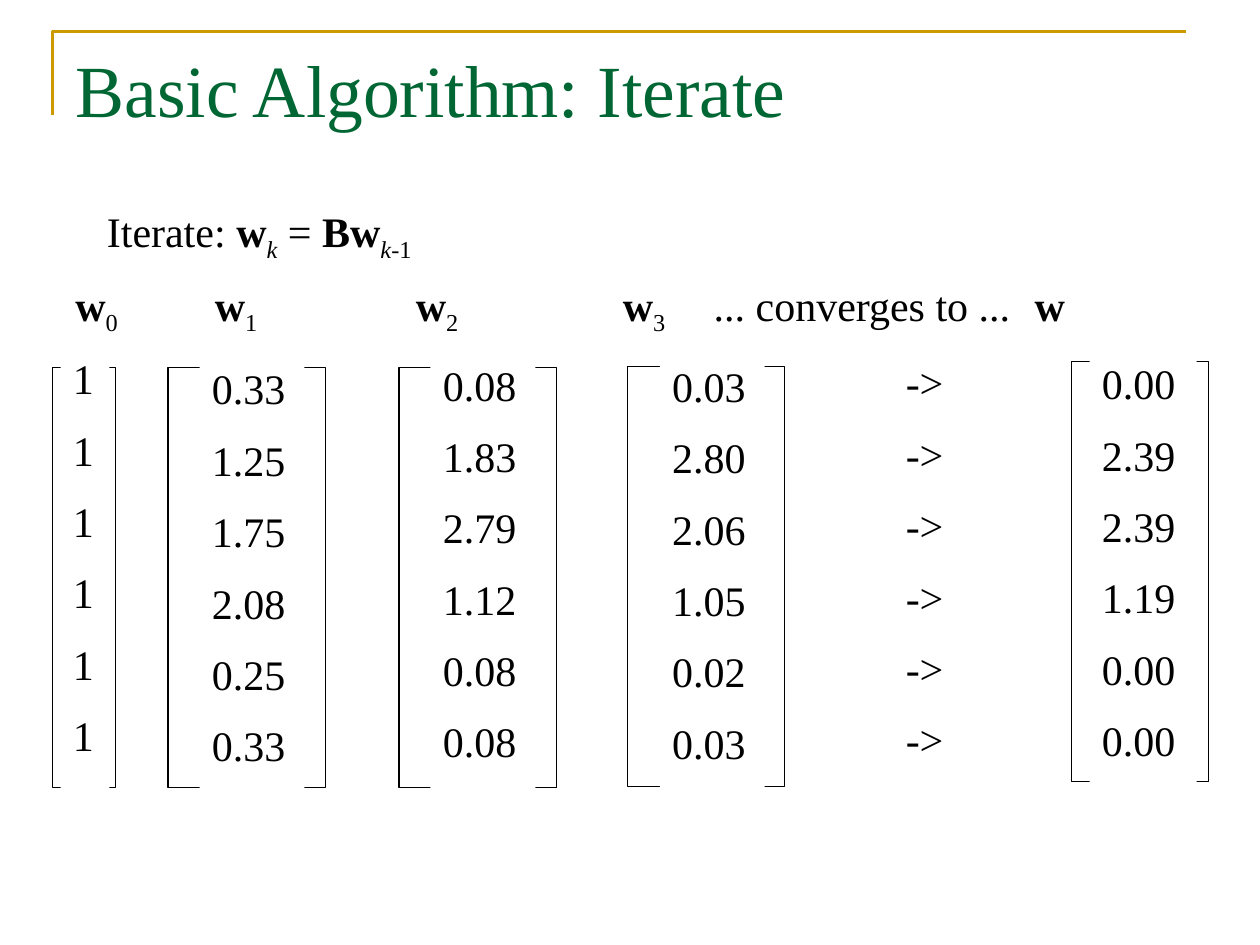
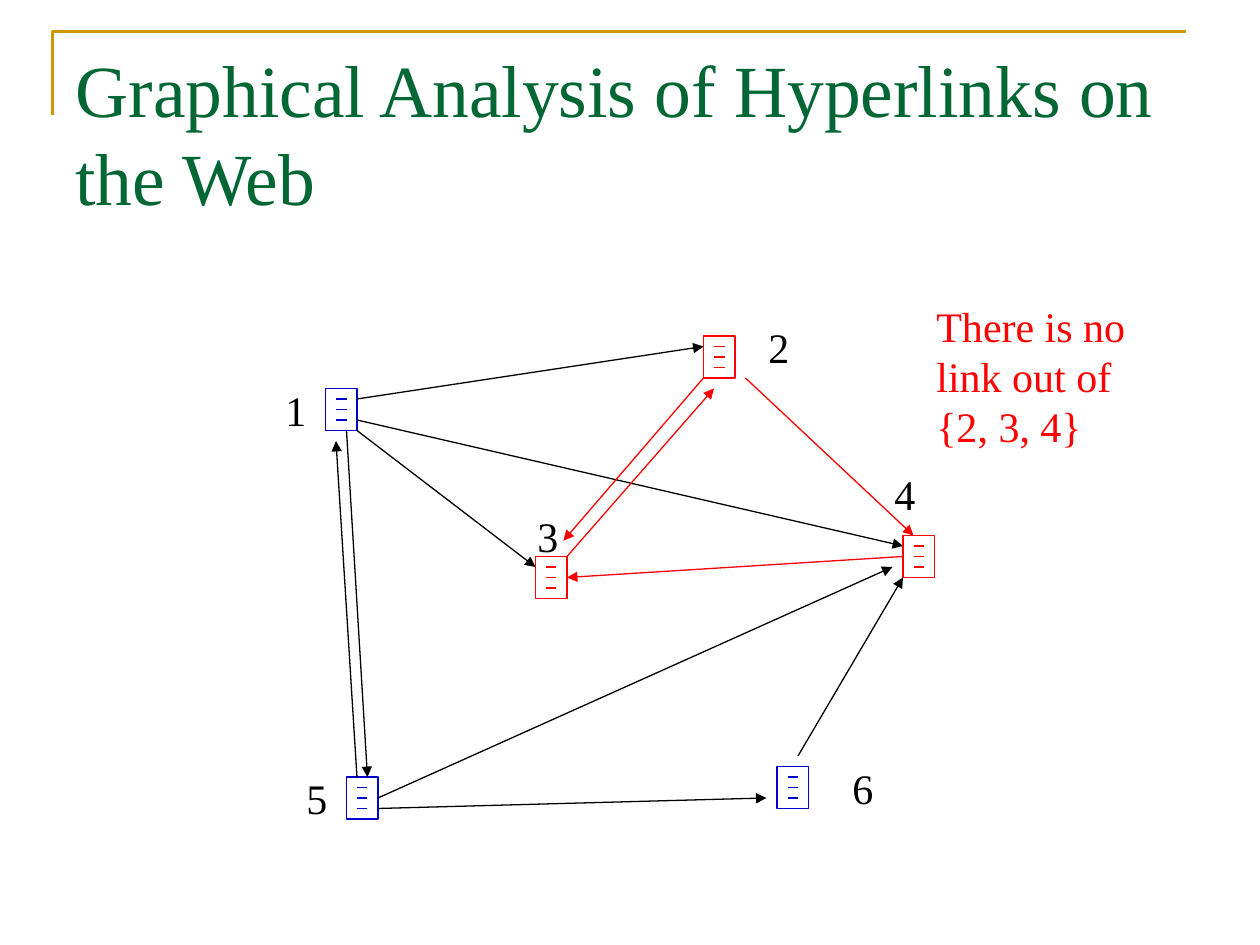
"""Build two slides on link analysis: power iteration and a web graph."""
from dataclasses import dataclass
from typing import NamedTuple, Optional

from pptx import Presentation
from pptx import util as u
from pptx.dml.color import RGBColor
from pptx.enum import shapes, text
from pptx.oxml import ns
from pptx.oxml.xmlchemy import OxmlElement

FONT = "Times New Roman"
BLACK, WHITE, RED, BLUE = "000000", "FFFFFF", "FF0000", "0000CC"
GREEN, GOLD = "006633", "CC9900"
BODY_SIZE, TITLE_SIZE = 24, 42
THIN = 0.75
NODE_WIDTH, NODE_HEIGHT, STEP = 18, 24, 6


class Frame(NamedTuple):
    left: float
    top: float
    width: float
    height: float


class Span(NamedTuple):
    words: str
    bold: bool = False
    italic: bool = False
    subscript: bool = False


@dataclass
class Vector:
    column: Frame
    values: list[str]
    bracket: Optional[Frame] = None


@dataclass
class PageNode:
    label: str
    left: float
    top: float
    color: str
    label_frame: Frame


@dataclass
class Link:
    start: tuple[float, float]
    end: tuple[float, float]
    color: str = BLACK


VECTORS = [
    Vector(Frame(114, 203.8, 60, 251.3), "0.33 1.25 1.75 2.08 0.25 0.33".split(), Frame(96, 210, 90, 240)),
    Vector(Frame(246, 201.6, 60, 251.3), "0.08 1.83 2.79 1.12 0.08 0.08".split(), Frame(228, 210, 90, 240)),
    Vector(Frame(377, 202.3, 60, 251.3), "0.03 2.80 2.06 1.05 0.02 0.03".split(), Frame(358.5, 209.5, 90, 240)),
    Vector(Frame(510.5, 200.4, 60, 251.3), ["->"] * 6),
    Vector(Frame(622.6, 200.9, 61.2, 251.3), "0.00 2.39 2.39 1.19 0.00 0.00".split(), Frame(612.5, 206.6, 78, 240)),
    Vector(Frame(34.6, 198, 28, 254), ["1"] * 6, Frame(30, 210, 36, 240)),
]
HEADING_TABS = [79.7, 194.5, 312.8, 364.8, 548.2]

NODES = [
    PageNode("1", 186, 222, BLUE, Frame(156, 216, 42, 36)),
    PageNode("2", 402, 192, RED, Frame(432, 180, 24, 36)),
    PageNode("3", 306, 318, RED, Frame(300, 288, 48, 36)),
    PageNode("4", 516, 306, RED, Frame(504, 264, 36, 36)),
    PageNode("5", 198, 444, BLUE, Frame(168, 438, 24, 36)),
    PageNode("6", 444, 438, BLUE, Frame(480, 432, 30, 36)),
]
LINKS = [
    Link((204, 228), (402, 198)),
    Link((198, 246), (210, 444)),
    Link((204, 240), (516, 312)),
    Link((204, 246), (306, 324)),
    Link((204, 444), (192, 252)),
    Link((216, 462), (438, 456)),
    Link((456, 432), (516, 330)),
    Link((516, 318), (324, 330), RED),
    Link((216, 456), (510, 324)),
    Link((324, 318), (408, 222), RED),
    Link((426, 216), (522, 306), RED),
    Link((402, 216), (322, 309), RED),
]


def rgb(color: str) -> RGBColor:
    """Turn a hex string into a colour."""
    return RGBColor.from_string(color)


def points(values) -> list[u.Length]:
    """Turn numbers into lengths in points."""
    return [u.Pt(value) for value in values]


def add_span(para, span: Span, size: float, color: str) -> None:
    """Add one formatted run to a paragraph."""
    run = para.add_run()
    run.text = span.words
    run.font.name, run.font.size = FONT, u.Pt(size)
    run.font.bold, run.font.italic = span.bold, span.italic
    run.font.color.rgb = rgb(color)
    if span.subscript:
        run._r.get_or_add_rPr().set("baseline", "-25000")


def add_text(page, frame: Frame, paras: list[list[Span]], color: str = BLACK, fill: Optional[str] = None):
    """Add a wrapped text box, half a line between paragraphs."""
    box = page.shapes.add_textbox(*points(frame))
    box.text_frame.word_wrap = True
    if fill:
        box.fill.solid()
        box.fill.fore_color.rgb = rgb(fill)
    for index, spans in enumerate(paras):
        para = box.text_frame.add_paragraph() if index else box.text_frame.paragraphs[0]
        para.space_before = u.Pt(BODY_SIZE / 2 if index else 0)
        for span in spans:
            add_span(para, span, BODY_SIZE, color)
    return box


def set_tabs(para, stops: list[float]) -> None:
    """Give a paragraph left tab stops."""
    tabs = OxmlElement("a:tabLst")
    for stop in stops:
        tab = OxmlElement("a:tab")
        tab.set("pos", str(u.Pt(stop)))
        tab.set("algn", "l")
        tabs.append(tab)
    para._p.get_or_add_pPr().append(tabs)


def add_rect(target, frame: Frame, color: str, fill: Optional[str] = None) -> None:
    """Add a thin outlined rectangle."""
    rect = target.shapes.add_shape(shapes.MSO_SHAPE.RECTANGLE, *points(frame))
    rect.shadow.inherit = False
    rect.line.color.rgb, rect.line.width = rgb(color), u.Pt(THIN)
    if fill:
        rect.fill.solid()
        rect.fill.fore_color.rgb = rgb(fill)
    else:
        rect.fill.background()


def add_line(target, link: Link, arrow: bool = False) -> None:
    """Add a thin straight line, with an arrowhead at its end if asked."""
    line = target.shapes.add_connector(shapes.MSO_CONNECTOR.STRAIGHT, *points(link.start + link.end))
    line.line.color.rgb, line.line.width = rgb(link.color), u.Pt(THIN)
    properties = line._element.spPr
    if arrow:
        tail = OxmlElement("a:tailEnd")
        tail.set("type", "triangle")
        properties.find(ns.qn("a:ln")).append(tail)
    properties.append(OxmlElement("a:effectLst"))


def add_node(page, node: PageNode) -> None:
    """Add a small document icon with three text lines."""
    icon = page.shapes.add_group_shape()
    add_rect(icon, Frame(node.left, node.top, NODE_WIDTH, NODE_HEIGHT), node.color, WHITE)
    for row in range(1, 4):
        y = node.top + row * STEP
        add_line(icon, Link((node.left + STEP, y), (node.left + 2 * STEP, y), node.color))


def add_page(deck, heading: str):
    """Add a slide with the corner rule and the title."""
    page = deck.slides.add_slide(deck.slide_layouts[5])
    pen = page.shapes.build_freeform(*points((30, 66)))
    pen.add_line_segments([points((30, 18)), points((678, 18))], close=False)
    rule = pen.convert_to_shape()
    rule.shadow.inherit = False
    rule.fill.background()
    rule.line.color.rgb, rule.line.width = rgb(GOLD), u.Pt(1.5)
    title = page.shapes.title
    title.left, title.top, title.width, title.height = points((36, 21.6, 648, 90))
    title.text_frame.word_wrap = True
    title.text_frame.auto_size = text.MSO_AUTO_SIZE.NONE
    title.text_frame.vertical_anchor = text.MSO_ANCHOR.TOP
    para = title.text_frame.paragraphs[0]
    para.alignment = text.PP_ALIGN.LEFT
    add_span(para, Span(heading), TITLE_SIZE, GREEN)
    return page


def build_iteration(deck) -> None:
    """Build the slide on iterating the weight vector."""
    page = add_page(deck, "Basic Algorithm: Iterate")
    add_text(page, Frame(54, 114, 384, 36), [[
        Span("Iterate: "), Span("w", bold=True), Span("k", italic=True, subscript=True), Span(" = "),
        Span("Bw", bold=True), Span("k", italic=True, subscript=True), Span("-1", subscript=True),
    ]])
    for vector in VECTORS:
        if vector.bracket:
            add_rect(page, vector.bracket, BLACK)
        add_text(page, vector.column, [[Span(value)] for value in vector.values], fill=WHITE)
    heads = []
    for number in range(4):
        heads += [Span("w", bold=True), Span(str(number), subscript=True), Span("\t")]
    heads += [Span("... converges to ..."), Span("\t"), Span("w", bold=True)]
    box = add_text(page, Frame(36, 156, 684, 36), [heads])
    set_tabs(box.text_frame.paragraphs[0], HEADING_TABS)


def build_graph(deck) -> None:
    """Build the slide with the graph of linked pages."""
    page = add_page(deck, "Graphical Analysis of Hyperlinks on the Web")
    for node in NODES:
        add_node(page, node)
    for link in LINKS:
        add_line(page, link, arrow=True)
    add_text(page, Frame(528, 168, 138, 93.6), [[Span("There is no link out of {2, 3, 4}")]], RED)
    for node in NODES:
        add_text(page, node.label_frame, [[Span(node.label)]])


def main() -> None:
    """Build and save the deck."""
    deck = Presentation()
    deck.slide_width, deck.slide_height = u.Pt(720), u.Pt(540)
    build_iteration(deck)
    build_graph(deck)
    deck.save("out.pptx")


if __name__ == "__main__":
    main()
